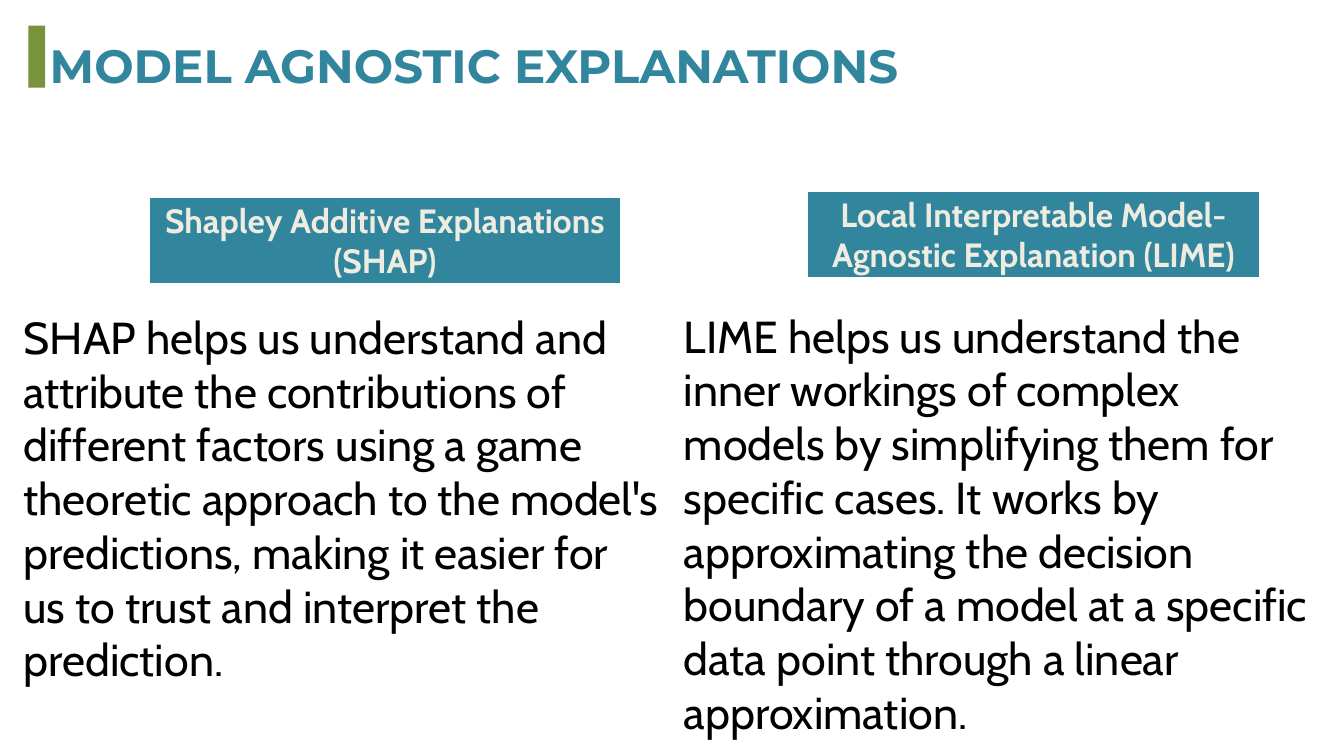
"""Build a slide that sets SHAP and LIME explanations side by side."""
from pptx import Presentation
from pptx.dml.color import RGBColor
from pptx.enum.shapes import MSO_SHAPE as Shape
from pptx.enum.text import MSO_ANCHOR as Anchor, PP_ALIGN as Align
from pptx.util import Cm, Pt

TEAL = RGBColor(0x31, 0x85, 0x9C)
GREEN = RGBColor(0x77, 0x93, 0x3C)
CREAM = RGBColor(0xEE, 0xEC, 0xE1)
WHITE = RGBColor(0xFF, 0xFF, 0xFF)
BLACK = RGBColor(0x00, 0x00, 0x00)

TITLE = "MODEL AGNOSTIC EXPLANATIONS"
TOPICS = [
    {
        "head": "Shapley Additive Explanations\n(SHAP)",
        "head_at": (5.61, 7.44, 17.88, 3.33),
        "body": "SHAP helps us understand and attribute the contributions of "
                "different factors using a game theoretic approach to the "
                "model's predictions, making it easier for us to trust and "
                "interpret the prediction.",
        "body_at": (0.64, 11.58, 24.56, 14.63),
    },
    {
        "head": "Local Interpretable Model-Agnostic Explanation (LIME)",
        "head_at": (30.48, 7.19, 17.17, 3.33),
        "body": "LIME helps us understand the inner workings of complex models "
                "by simplifying them for specific cases. It works by "
                "approximating the decision boundary of a model at a specific "
                "data point through a linear approximation.",
        "body_at": (25.6, 11.53, 24.36, 16.66),
    },
]


def write(shape, text, face, size, color, bold=False, align=Align.LEFT):
    frame = shape.text_frame
    frame.word_wrap = True
    frame.text = text
    for para in frame.paragraphs:
        para.alignment = align
        for run in para.runs:
            font = run.font
            font.name, font.size, font.bold = face, Pt(size), bold
            font.color.rgb = color
    return frame


def add_text(slide, at, *style):
    return write(slide.shapes.add_textbox(*map(Cm, at)), *style)


def add_rect(slide, at, fill):
    rect = slide.shapes.add_shape(Shape.RECTANGLE, *map(Cm, at))
    rect.shadow.inherit = False
    rect.fill.solid()
    rect.fill.fore_color.rgb = fill
    rect.line.fill.background()
    return rect


def add_topic(slide, topic):
    add_text(slide, topic["body_at"], topic["body"], "Cabin", 48, BLACK)
    head = add_rect(slide, topic["head_at"], TEAL)
    head.line.color.rgb = WHITE
    head.line.width = Pt(3)
    frame = write(head, topic["head"], "Cabin", 36, CREAM, True, Align.CENTER)
    frame.vertical_anchor = Anchor.TOP


def add_title(slide):
    frame = add_text(slide, (1.88, 0.56, 47.04, 2.57),
                     TITLE, "Montserrat", 50, TEAL, True)
    frame.margin_left = frame.margin_right = 0
    frame.margin_top = frame.margin_bottom = 0
    frame.paragraphs[0].line_spacing = Pt(83.1)
    add_rect(slide, (1.07, 0.97, 0.64, 2.34), GREEN)


def main():
    deck = Presentation()
    deck.slide_width, deck.slide_height = Cm(50.8), Cm(28.58)
    slide = deck.slides.add_slide(deck.slide_layouts[6])
    for topic in TOPICS:
        add_topic(slide, topic)
    add_title(slide)
    deck.save("out.pptx")


if __name__ == "__main__":
    main()
